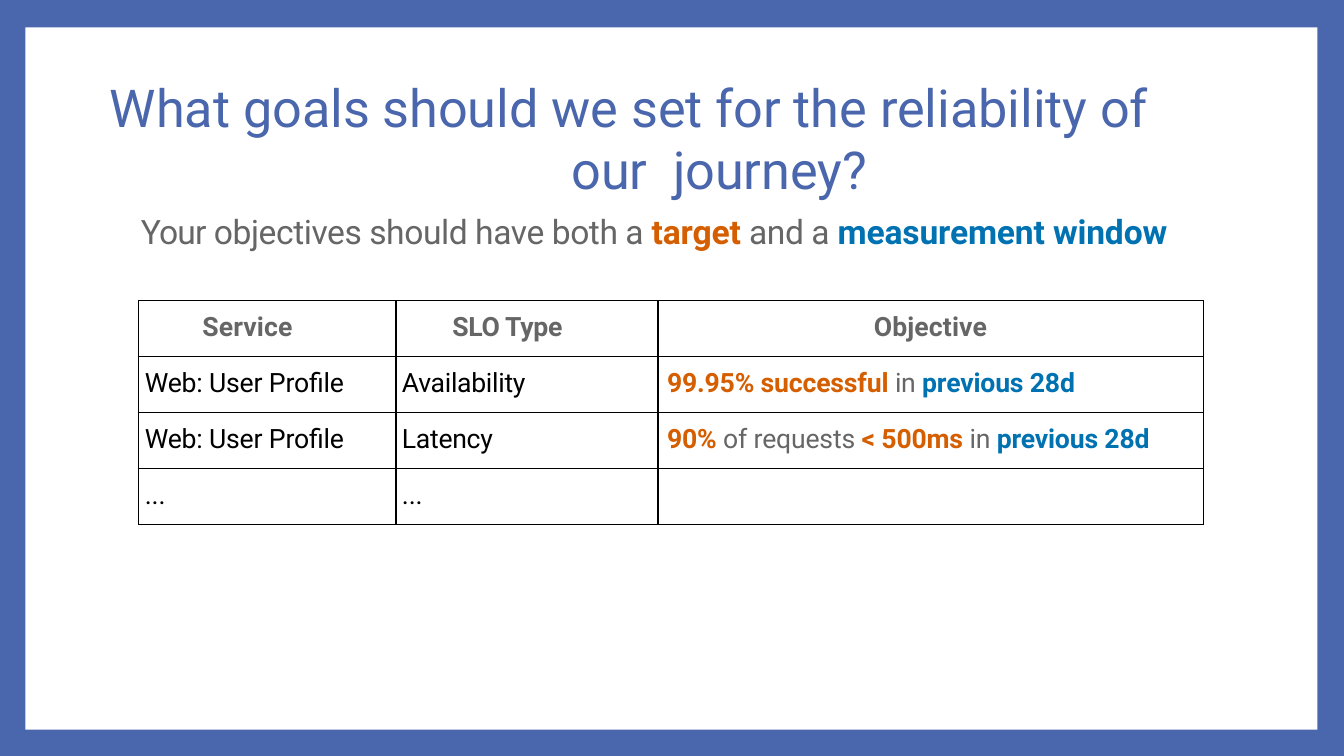
"""Build the slide on reliability goals, with its table of service objectives."""
from dataclasses import dataclass

from lxml import etree
from pptx import Presentation
from pptx.dml.color import RGBColor
from pptx.enum.shapes import MSO_SHAPE
from pptx.enum.text import MSO_ANCHOR, MSO_AUTO_SIZE, PP_ALIGN
from pptx.oxml.ns import qn
from pptx.slide import Slide
from pptx.table import _Cell
from pptx.text.text import TextFrame
from pptx.util import Cm, Pt

RECTANGLE = MSO_SHAPE.RECTANGLE
TOP, MIDDLE = MSO_ANCHOR.TOP, MSO_ANCHOR.MIDDLE
FIXED_SIZE = MSO_AUTO_SIZE.NONE
LEFT, CENTER = PP_ALIGN.LEFT, PP_ALIGN.CENTER
TITLE_ONLY = 5
BORDER_TAGS = ("a:lnL", "a:lnR", "a:lnT", "a:lnB")


@dataclass(frozen=True)
class Theme:
    """Colours, font and type sizes of the slide."""
    blue: str = "4A66AC"
    white: str = "FFFFFF"
    black: str = "000000"
    gray: str = "666666"
    target: str = "D45E00"
    window: str = "0072B2"
    font: str = "Roboto"
    title_size: float = 37.3
    subtitle_size: float = 24
    table_size: float = 19
    border_width: float = 1


THEME = Theme()


@dataclass(frozen=True)
class Span:
    """Stretch of text in one colour, weight and letter spacing."""
    text: str
    color: str
    bold: bool = False
    tracking: float = -0.1


@dataclass(frozen=True)
class Line:
    """Paragraph made of spans, with its indents in centimetres."""
    spans: tuple[Span, ...]
    size: float
    margin: float = 0
    indent: float = 0
    space_before: float = 0
    alignment: PP_ALIGN = LEFT


def target(text: str) -> Span:
    """Emphasise a target."""
    return Span(text, THEME.target, True)


def window(text: str) -> Span:
    """Emphasise a measurement window."""
    return Span(text, THEME.window, True)


def plain(text: str, tracking: float = -0.1) -> Span:
    """Make a gray span."""
    return Span(text, THEME.gray, False, tracking)


def table_line(*spans: Span, margin: float = 0.15, alignment: PP_ALIGN = LEFT) -> Line:
    """Make the paragraph of a table cell."""
    return Line(spans, THEME.table_size, margin, 0, 6.2, alignment)


def heading(text: str, margin: float = 0, tracking: float = 0.1,
            alignment: PP_ALIGN = LEFT) -> Line:
    """Make a header cell paragraph."""
    return table_line(Span(text, THEME.gray, True, tracking), margin=margin, alignment=alignment)


def label(text: str, tracking: float = -0.1) -> Line:
    """Make a black body cell paragraph."""
    return table_line(Span(text, THEME.black, False, tracking))


def objective(*spans: Span) -> Line:
    """Make an objective cell paragraph."""
    return table_line(*spans, margin=0.23)


TITLE = Line((Span("What goals should we set for the reliability of our  journey?",
                   THEME.blue, False, -0.06),),
             THEME.title_size, 11.68, -11.63, 1.1)
SUBTITLE = Line((plain("Your ", -0.6), plain("objectives should have both a ", -0.3),
                 target("target "), plain("and a ", -0.3), window("measurement window")),
                THEME.subtitle_size, 0.05, 0, 1.3)
COLUMN_WIDTHS = (6.48, 6.6, 13.74)
ROW_HEIGHT = 1.41
OBJECTIVES = (
    (heading("Service", 1.6), heading("SLO Type", 1.42, -0.2),
     heading("Objective", alignment=CENTER)),
    (label("Web: User Proﬁle"), label("Availability", -0.2),
     objective(target("99.95% successful "), plain("in ", -0.2), window("previous 28d"))),
    (label("Web: User Proﬁle"), label("Latency", -0.2),
     objective(target("90% "), plain("of requests "), target("< 500ms "),
               plain("in ", -0.2), window("previous 28d"))),
    (label("..."), label("..."), objective()),
)


def write_line(text_frame: TextFrame, line: Line) -> None:
    """Write a line as the first paragraph of a text frame."""
    paragraph = text_frame.paragraphs[0]
    paragraph.alignment = line.alignment
    paragraph.line_spacing = 1.0
    paragraph.space_before = Pt(line.space_before)
    paragraph.font.size = Pt(line.size)
    properties = paragraph._p.get_or_add_pPr()
    properties.set("marL", str(Cm(line.margin)))
    properties.set("indent", str(Cm(line.indent)))
    for span in line.spans:
        run = paragraph.add_run()
        run.text = span.text
        run.font.name = THEME.font
        run.font.size = Pt(line.size)
        run.font.bold = span.bold
        run.font.color.rgb = RGBColor.from_string(span.color)
        run.font._element.set("spc", str(round(span.tracking * 100)))


def prepare_frame(text_frame: TextFrame, anchor: MSO_ANCHOR) -> None:
    """Set the wrapping, insets and anchor of a text frame."""
    text_frame.word_wrap = True
    text_frame.auto_size = FIXED_SIZE
    text_frame.vertical_anchor = anchor
    text_frame.margin_left = text_frame.margin_right = text_frame.margin_bottom = 0
    text_frame.margin_top = Cm(0.05)


def add_title(slide: Slide) -> None:
    """Fill the title placeholder."""
    title = slide.shapes.title
    title.left, title.top, title.width, title.height = Cm(2.72), Cm(1.83), Cm(28.4), Cm(3.23)
    prepare_frame(title.text_frame, MIDDLE)
    write_line(title.text_frame, TITLE)


def add_panel(slide: Slide) -> None:
    """Place the white panel behind the title."""
    panel = slide.shapes.add_shape(RECTANGLE, Cm(0.64), Cm(0.69), Cm(32.56), Cm(17.7))
    panel.shadow.inherit = False
    panel.fill.solid()
    panel.fill.fore_color.rgb = RGBColor.from_string(THEME.white)
    panel.line.fill.background()
    slide.shapes.title.element.addprevious(panel.element)


def add_subtitle(slide: Slide) -> None:
    """Add the sentence under the title."""
    box = slide.shapes.add_textbox(Cm(3.5), Cm(5.26), Cm(26.5), Cm(2.1))
    prepare_frame(box.text_frame, TOP)
    write_line(box.text_frame, SUBTITLE)


def format_cell(cell: _Cell) -> None:
    """Set the borders, insets and empty fill of a cell."""
    properties = cell._tc.get_or_add_tcPr()
    for tag in BORDER_TAGS:
        border = etree.SubElement(properties, qn(tag), w=str(Pt(THEME.border_width)))
        fill = etree.SubElement(border, qn("a:solidFill"))
        etree.SubElement(fill, qn("a:srgbClr"), val=THEME.black)
    cell.fill.background()
    cell.margin_left = cell.margin_right = cell.margin_bottom = 0
    cell.margin_top = Cm(0.28)


def add_objectives(slide: Slide) -> None:
    """Add the table of services and their objectives."""
    frame = slide.shapes.add_table(len(OBJECTIVES), len(COLUMN_WIDTHS), Cm(3.5), Cm(7.57),
                                   Cm(sum(COLUMN_WIDTHS)), Cm(ROW_HEIGHT * len(OBJECTIVES)))
    table = frame.table
    table.first_row = table.horz_banding = False
    for column, width in zip(table.columns, COLUMN_WIDTHS):
        column.width = Cm(width)
    for row, lines in zip(table.rows, OBJECTIVES):
        row.height = Cm(ROW_HEIGHT)
        for cell, line in zip(row.cells, lines):
            format_cell(cell)
            write_line(cell.text_frame, line)


def main() -> None:
    """Build and save the presentation."""
    presentation = Presentation()
    presentation.slide_width, presentation.slide_height = Cm(33.87), Cm(19.05)
    slide = presentation.slides.add_slide(presentation.slide_layouts[TITLE_ONLY])
    slide.background.fill.solid()
    slide.background.fill.fore_color.rgb = RGBColor.from_string(THEME.blue)
    add_title(slide)
    add_panel(slide)
    add_objectives(slide)
    add_subtitle(slide)
    presentation.save("out.pptx")


if __name__ == "__main__":
    main()
